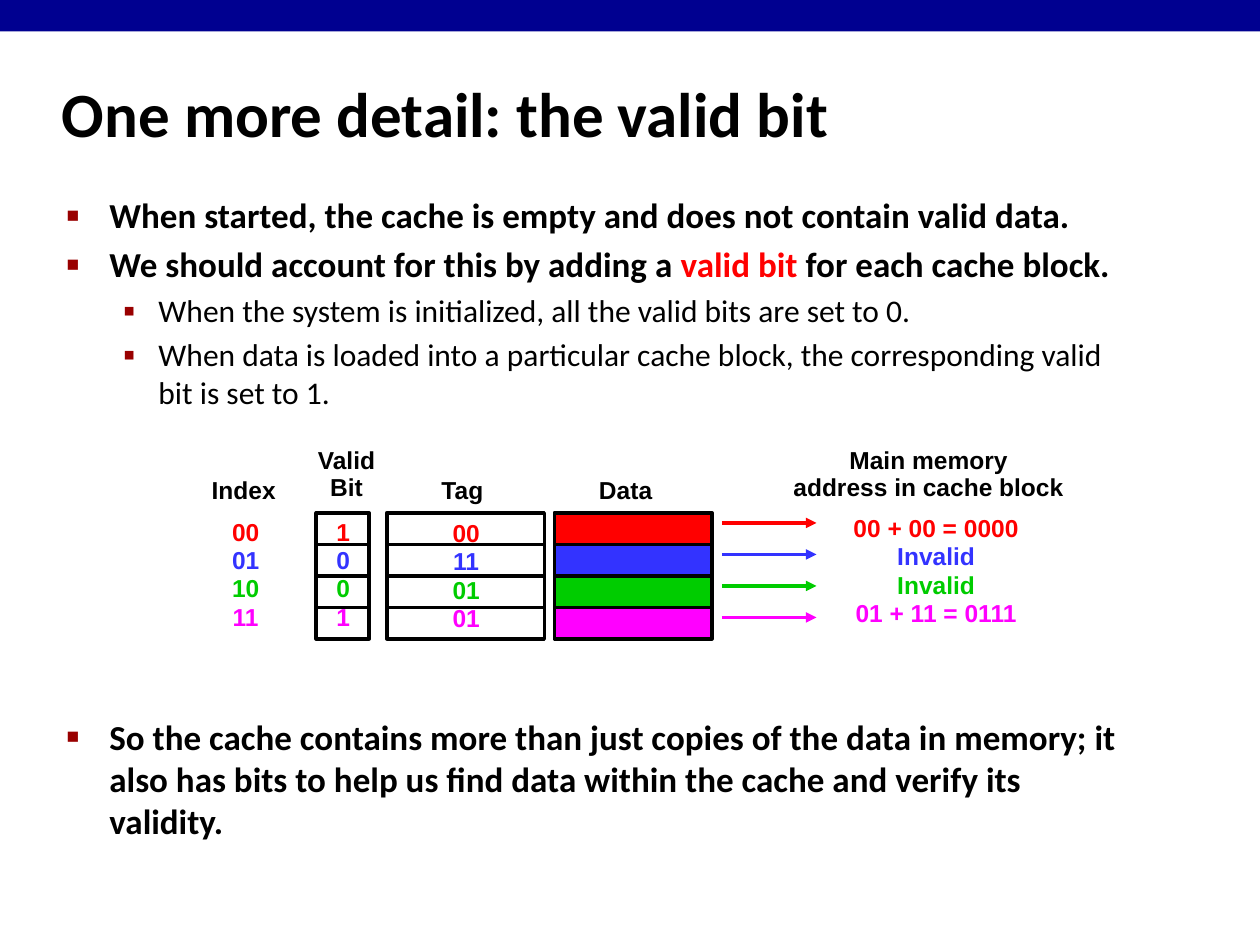
from lxml import etree
from pptx import Presentation
from pptx import util as u
from pptx.dml.color import RGBColor
from pptx.enum import shapes, text
from pptx.oxml import ns

COLORS = {
    "black": "000000", "bar": "000090", "bullet": "990000", "red": "FF0000",
    "blue": "3333FF", "green": "00CC00", "magenta": "FF00FF",
}
ROW_COLORS = ["red", "blue", "green", "magenta"]
ROW_HEIGHT = 0.25
BULLETS = [
    {"char": "■", "percent": 60, "margin": 0.34, "indent": 0.34, "size": 20, "bold": True},
    {"char": "▪", "percent": 110, "margin": 0.73, "indent": 0.28, "size": 18, "bold": False},
]
POINTS = [
    (0, 0, [("When started, the cache is empty and does not contain valid data.", "black")]),
    (0, 4, [("We should account for this by adding a ", "black"), ("valid bit", "red"),
            (" for each cache block.", "black")]),
    (1, 3.6, [("When the system is initialized, all the valid bits are set to 0.", "black")]),
    (1, 3.6, [("When data is loaded into a particular cache block, the corresponding "
               "valid bit is set to 1.", "black")]),
    (0, 174, [("So the cache contains more than just copies of the data in memory; it also "
               "has bits to help us find data within the cache and verify its validity.",
               "black")]),
]


def rgb(name):
    return RGBColor.from_string(COLORS[name])


def inches(box):
    return [u.Inches(value) for value in box]


def apply(target, values):
    for name, value in values.items():
        setattr(target, name, value)


def add_run(paragraph, words, color, font, size, bold):
    run = paragraph.add_run()
    run.text = words
    apply(run.font, {"name": font, "size": u.Pt(size), "bold": bold})
    run.font.color.rgb = rgb(color)


def next_paragraph(frame, index):
    return frame.add_paragraph() if index else frame.paragraphs[0]


def add_bar(slide, box):
    bar = slide.shapes.add_shape(shapes.MSO_SHAPE.RECTANGLE, *inches(box))
    bar.shadow.inherit = False
    bar.fill.solid()
    bar.fill.fore_color.rgb = rgb("bar")
    bar.line.fill.background()


def add_title(slide, box):
    title = slide.shapes.title
    apply(title, dict(zip(("left", "top", "width", "height"), inches(box))))
    apply(title.text_frame, {
        "word_wrap": True, "auto_size": text.MSO_AUTO_SIZE.NONE,
        "vertical_anchor": text.MSO_ANCHOR.MIDDLE,
    })
    paragraph = title.text_frame.paragraphs[0]
    paragraph.alignment = text.PP_ALIGN.LEFT
    add_run(paragraph, "One more detail: the valid bit", "black", "Calibri", 36, True)


def add_bullet(paragraph, style):
    properties = paragraph._p.get_or_add_pPr()
    properties.set("marL", str(u.Inches(style["margin"])))
    properties.set("indent", str(-u.Inches(style["indent"])))
    color = etree.SubElement(properties, ns.qn("a:buClr"))
    etree.SubElement(color, ns.qn("a:srgbClr"), val=COLORS["bullet"])
    etree.SubElement(properties, ns.qn("a:buSzPct"), val=str(style["percent"] * 1000))
    etree.SubElement(properties, ns.qn("a:buFont"), typeface="Arial")
    etree.SubElement(properties, ns.qn("a:buChar"), char=style["char"])


def add_points(slide, box):
    frame = slide.shapes.add_textbox(*inches(box)).text_frame
    frame.word_wrap = True
    for index, (level, space, runs) in enumerate(POINTS):
        style = BULLETS[level]
        paragraph = next_paragraph(frame, index)
        add_bullet(paragraph, style)
        apply(paragraph, {"level": level, "space_before": u.Pt(space)})
        for words, color in runs:
            add_run(paragraph, words, color, "Calibri", style["size"], style["bold"])


def add_label(group, box, lines, colors=None):
    frame = group.shapes.add_textbox(*inches(box)).text_frame
    apply(frame, {
        "margin_left": u.Inches(0.11), "margin_right": u.Inches(0.11),
        "margin_top": u.Inches(0.06), "margin_bottom": u.Inches(0.06),
        "word_wrap": False, "vertical_anchor": text.MSO_ANCHOR.MIDDLE,
        "auto_size": text.MSO_AUTO_SIZE.SHAPE_TO_FIT_TEXT,
    })
    for index, words in enumerate(lines):
        paragraph = next_paragraph(frame, index)
        apply(paragraph, {
            "alignment": text.PP_ALIGN.CENTER, "line_spacing": 0.9,
            "space_before": u.Pt(1.1 if colors and index else 0),
        })
        add_run(paragraph, words, colors[index] if colors else "black", "Arial", 14, True)


def add_cells(group, left, top, width, filled=False):
    for index, color in enumerate(ROW_COLORS):
        box = (left, top + index * ROW_HEIGHT, width, ROW_HEIGHT)
        cell = group.shapes.add_shape(shapes.MSO_SHAPE.RECTANGLE, *inches(box))
        cell.shadow.inherit = False
        if filled:
            cell.fill.solid()
            cell.fill.fore_color.rgb = rgb(color)
        else:
            cell.fill.background()
        cell.line.color.rgb = rgb("black")
        cell.line.width = u.Pt(2)


def add_arrows(group, left, top, width):
    for index, color in enumerate(ROW_COLORS):
        y = top + index * ROW_HEIGHT
        arrow = group.shapes.add_connector(
            shapes.MSO_CONNECTOR.STRAIGHT, *inches((left, y, left + width, y)))
        arrow.line.color.rgb = rgb(color)
        arrow.line.width = u.Pt(2)
        etree.SubElement(arrow.line._get_or_add_ln(), ns.qn("a:tailEnd"), type="triangle")
        etree.SubElement(arrow._element.spPr, ns.qn("a:effectLst"))


def add_cache(slide, left, top):
    group = slide.shapes.add_group_shape()
    rows = top + 0.57
    add_cells(group, left + 0.94, rows, 0.42)
    add_cells(group, left + 1.5, rows, 1.25)
    add_cells(group, left + 2.83, rows, 1.25, filled=True)
    add_arrows(group, left + 4.16, rows + 0.08, 0.75)

    one_line, two_lines, four_lines = 0.32, 0.54, 1.02
    for x, width, heading in [(0, 0.73, "Index"), (1.82, 0.56, "Tag"), (3.07, 0.65, "Data")]:
        add_label(group, (left + x, top + 0.24, width, one_line), [heading])
    for x, width, heading in [(0.84, 0.68, ["Valid", "Bit"]),
                              (4.61, 2.38, ["Main memory", "address in cache block"])]:
        add_label(group, (left + x, top, width, two_lines), heading)
    for x, y, width, values in [
        (0.16, 0.56, 0.44, ["00", "01", "10", "11"]),
        (0.99, 0.56, 0.33, ["1", "0", "0", "1"]),
        (1.91, 0.57, 0.44, ["00", "11", "01", "01"]),
        (5.09, 0.53, 1.54, ["00 + 00 = 0000", "Invalid", "Invalid", "01 + 11 = 0111"]),
    ]:
        add_label(group, (left + x, top + y, width, four_lines), values, ROW_COLORS)


def main():
    presentation = Presentation()
    presentation.slide_width = u.Inches(10)
    presentation.slide_height = u.Inches(7.5)
    slide = presentation.slides.add_slide(presentation.slide_layouts.get_by_name("Title Only"))
    add_bar(slide, (0, 0, 10, 0.25))
    add_title(slide, (0.39, 0.48, 8.3, 0.83))
    add_points(slide, (0.43, 1.49, 8.64, 5.44))
    add_cache(slide, 1.57, 3.5)
    presentation.save("out.pptx")


if __name__ == "__main__":
    main()
